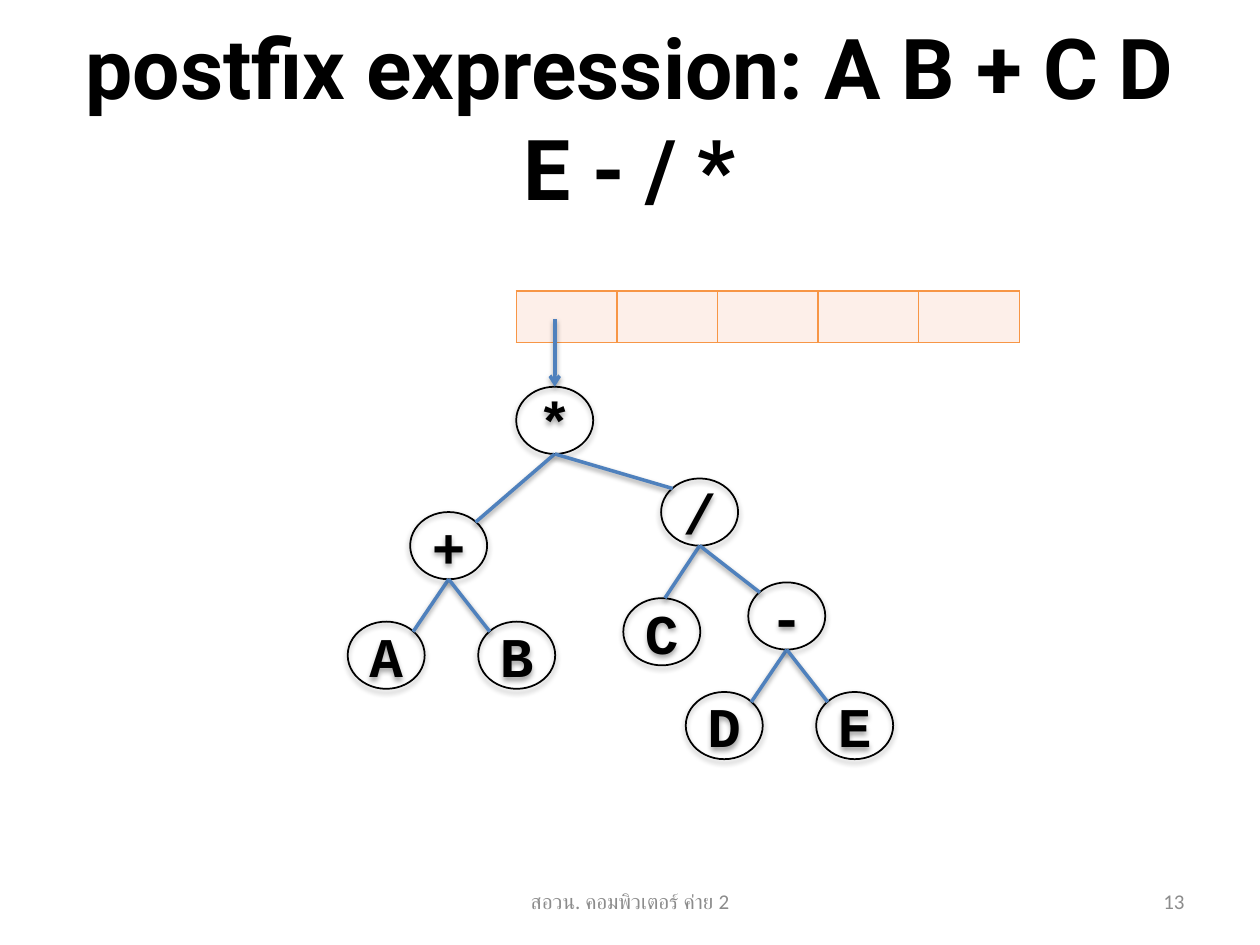
from lxml import etree
from pptx import Presentation
from pptx import util as u
from pptx.dml import color
from pptx.enum import shapes, text
from pptx.oxml import ns

Pt = u.Pt
INK, BLUE, GREY = "000000", "4F81BD", "8C8C8C"
EDGE, CELL = "F79646", "FDEFE9"
WIDE, HIGH = 44, 38.4
MID = text.PP_ALIGN.CENTER
RIGHT = text.PP_ALIGN.RIGHT

# Label: left and top of each tree node
NODES = {
    "*": (295, 221), "+": (234.4, 292.6), "A": (198.7, 355.2),
    "B": (273.3, 355.2), "/": (377.8, 273.4), "C": (356.2, 341.8),
    "-": (427.6, 332.8), "D": (391.9, 395.4), "E": (466.4, 395.4),
}
# Parent, child, and the place on the child where the edge ends
EDGES = [
    ("*", "+", "right"), ("*", "/", "left"),
    ("+", "A", "right"), ("+", "B", "left"),
    ("/", "C", "top"), ("/", "-", "left"),
    ("-", "D", "right"), ("-", "E", "left"),
]
# Share of the node's width and height for each place on its rim
RIM = {"left": (0.15, 0.15), "top": (0.54, 0), "right": (0.85, 0.15)}


def rgb(code):
    return color.RGBColor.from_string(code)


def add(parent, tag, **attrs):
    return etree.SubElement(parent, ns.qn(tag), attrs)


class Deck:
    def __init__(self, wide, high):
        self.prs = Presentation()
        self.prs.slide_width, self.prs.slide_height = Pt(wide), Pt(high)
        self.slide = self.prs.slides.add_slide(self.prs.slide_layouts[6])
        self.shapes = self.slide.shapes

    def shade(self, shape, alpha, dist):
        """Give the shape a soft shadow that falls straight down."""
        props = shape._element.spPr
        for old in props.findall(ns.qn("a:effectLst")):
            props.remove(old)
        drop = add(add(props, "a:effectLst"), "a:outerShdw",
                   blurRad=str(Pt(3.1)), dist=str(Pt(dist)),
                   dir="5400000", rotWithShape="0")
        tint = add(drop, "a:srgbClr", val=INK)
        add(tint, "a:alpha", val=str(alpha * 1000))

    def words(self, shape, line, size, face, ink, bold=False, align=MID):
        frame = shape.text_frame
        frame.word_wrap = True
        frame.vertical_anchor = text.MSO_ANCHOR.MIDDLE
        para = frame.paragraphs[0]
        para.alignment = align
        run = para.add_run()
        run.text = line
        font = run.font
        font.size, font.name, font.bold = Pt(size), face, bold
        font.color.rgb = rgb(ink)
        return frame

    def label(self, box, *args, **style):
        shape = self.shapes.add_textbox(*map(Pt, box))
        self.words(shape, *args, **style)

    def node(self, name, left, top):
        oval = self.shapes.add_shape(shapes.MSO_SHAPE.OVAL, Pt(left), Pt(top),
                                     Pt(WIDE), Pt(HIGH))
        oval.fill.background()
        oval.line.color.rgb = rgb(INK)
        oval.line.width = Pt(1)
        self.shade(oval, 35, 1.8)
        frame = self.words(oval, name, 32, "Courier New", INK, bold=True)
        frame.margin_left = frame.margin_right = 0
        frame.margin_top = frame.margin_bottom = 0

    def line(self, start, end, arrow=False):
        link = self.shapes.add_connector(shapes.MSO_CONNECTOR.STRAIGHT,
                                         *map(Pt, start + end))
        link.line.color.rgb = rgb(BLUE)
        link.line.width = Pt(2)
        if arrow:
            add(link._element.spPr.find(ns.qn("a:ln")), "a:tailEnd",
                type="arrow")
        self.shade(link, 38, 1.6)

    def stack(self, left, top, wide, high, count):
        """Draw the stack as one row of empty cells."""
        table = self.shapes.add_table(1, count, Pt(left), Pt(top),
                                      Pt(wide), Pt(high)).table
        table.first_row = table.horz_banding = False
        for col in table.columns:
            col.width = Pt(wide / count)
        for cell in table.iter_cells():
            props = cell._tc.get_or_add_tcPr()
            for side in ("a:lnL", "a:lnR", "a:lnT", "a:lnB"):
                rule = add(props, side, w=str(Pt(1)))
                add(add(rule, "a:solidFill"), "a:srgbClr", val=EDGE)
            cell.fill.solid()
            cell.fill.fore_color.rgb = rgb(CELL)


def main():
    deck = Deck(720, 540)
    deck.label((36, 21.6, 648, 90), "postfix expression: A B + C D E - / *",
               48, "Roboto", INK, bold=True)
    deck.stack(295, 166.3, 287.5, 29.5, 5)

    for name, (left, top) in NODES.items():
        deck.node(name, left, top)
    for parent, child, place in EDGES:
        left, top = NODES[parent]
        x, y = NODES[child]
        across, down = RIM[place]
        deck.line((left + WIDE / 2, top + HIGH),
                  (x + across * WIDE, y + down * HIGH))

    left, top = NODES["*"]
    mid = left + WIDE / 2
    deck.line((mid, 182.4), (mid, top), arrow=True)

    deck.label((246, 500.5, 228, 28.75), "สอวน. คอมพิวเตอร์ ค่าย 2",
               12, "Calibri", GREY)
    deck.label((516, 500.5, 168, 28.75), "13", 12, "Calibri", GREY,
               align=RIGHT)
    deck.prs.save("out.pptx")


if __name__ == "__main__":
    main()
